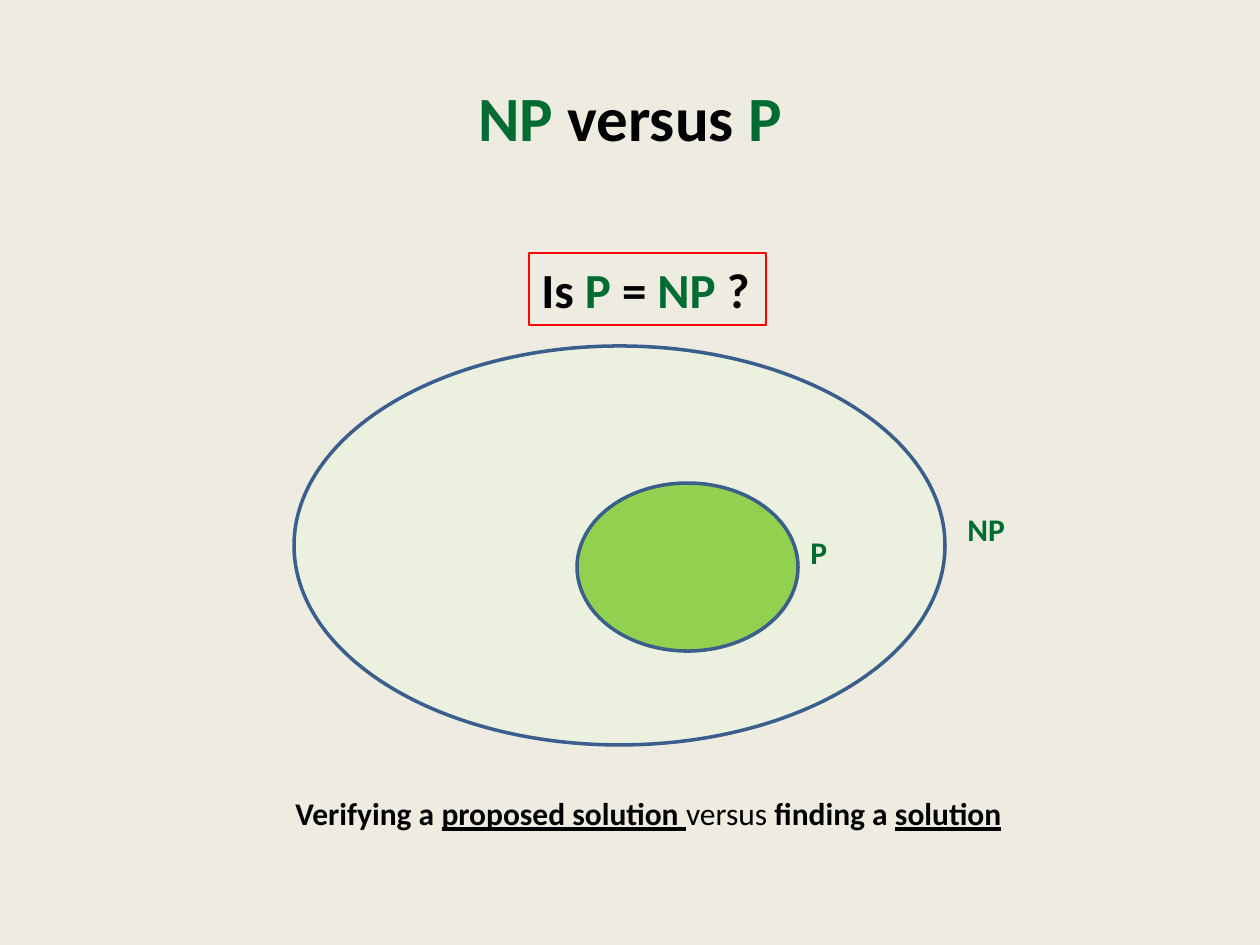
from pptx import Presentation
from pptx import util as u
from pptx.dml.color import RGBColor
from pptx.enum import shapes, text

PX = 914400 / 126
PAPER, INK, GREEN = "EEECE1", "000000", "006C31"
OUTLINE, RED = "3A5F8C", "FF0000"


def px(length):
    """Turn a length in px into EMU."""
    return u.Emu(round(length * PX))


def colour(value):
    """Turn a hex string into a colour."""
    return RGBColor.from_string(value)


def write(frame, runs, size, align=text.PP_ALIGN.LEFT, wrap=False):
    """Fill a text frame with runs of (wording, colour, bold, underline)."""
    frame.word_wrap = wrap
    frame.vertical_anchor = text.MSO_ANCHOR.MIDDLE if wrap else text.MSO_ANCHOR.TOP
    frame.auto_size = (
        text.MSO_AUTO_SIZE.NONE if wrap else text.MSO_AUTO_SIZE.SHAPE_TO_FIT_TEXT
    )
    paragraph = frame.paragraphs[0]
    paragraph.alignment = align
    for wording, ink, bold, underline in runs:
        run = paragraph.add_run()
        run.text = wording
        font = run.font
        font.name, font.size = "Calibri", u.Pt(size)
        font.bold, font.underline = bold, underline
        font.color.rgb = colour(ink)


def add_label(slide, box, runs, size, **layout):
    """Add a text box at box (left, top, width, height)."""
    label = slide.shapes.add_textbox(*map(px, box))
    write(label.text_frame, runs, size, **layout)


def add_outlined(slide, kind, box, line, weight, fill=None):
    """Add an outlined preset shape, filled if a colour is given."""
    outlined = slide.shapes.add_shape(kind, *map(px, box))
    outlined.shadow.inherit = False
    outlined.line.color.rgb = colour(line)
    outlined.line.width = u.Pt(weight)
    if fill:
        outlined.fill.solid()
        outlined.fill.fore_color.rgb = colour(fill)
    else:
        outlined.fill.background()
    return outlined


def bold_runs(*parts):
    """Make bold runs from (wording, colour) pairs."""
    return [(wording, ink, True, False) for wording, ink in parts]


def add_class(slide, box, fill, name, name_box):
    """Add a complexity class as an ellipse with its name beside it."""
    add_outlined(slide, shapes.MSO_SHAPE.OVAL, box, OUTLINE, 2, fill)
    add_label(slide, name_box, bold_runs((name, GREEN)), 18)


def main():
    """Build the slide and save it."""
    deck = Presentation()
    deck.slide_width, deck.slide_height = px(1260), px(945)
    slide = deck.slides.add_slide(deck.slide_layouts[6])
    slide.background.fill.solid()
    slide.background.fill.fore_color.rgb = colour(PAPER)

    title = bold_runs(("NP", GREEN), (" versus ", INK), ("P", GREEN))
    add_label(slide, (63, 38, 1134, 157), title, 36,
              align=text.PP_ALIGN.CENTER, wrap=True)

    add_class(slide, (294, 346, 651, 399), "EBF1DE", "NP", (955, 504, 63, 50))
    add_class(slide, (577, 483, 221, 168), "92D050", "P", (798, 527, 43, 50))

    contrast = [
        ("Verifying a ", INK, True, False),
        ("proposed solution ", INK, True, True),
        ("versus ", INK, False, False),
        ("finding a ", INK, True, False),
        ("solution", INK, True, True),
    ]
    add_label(slide, (283, 788, 732, 50), contrast, 18)

    question = add_outlined(slide, shapes.MSO_SHAPE.RECTANGLE,
                            (529, 253, 237, 72), RED, 0.75)
    write(question.text_frame,
          bold_runs(("Is ", INK), ("P", GREEN), (" = ", INK),
                    ("NP", GREEN), (" ?", INK)), 28)

    deck.save("out.pptx")


if __name__ == "__main__":
    main()
